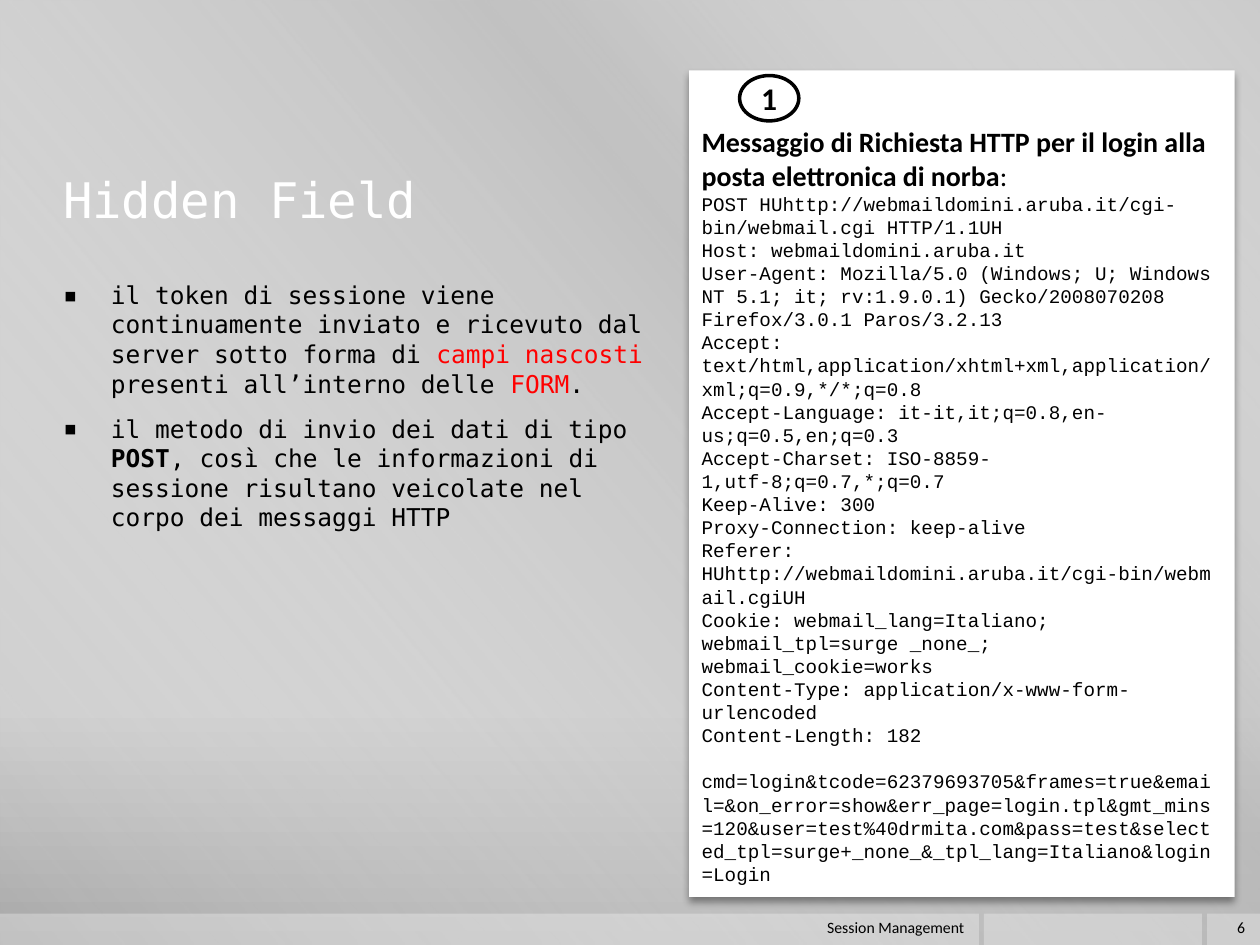
import pptx
import pptx.util
import pptx.oxml
import pptx.oxml.ns
import pptx.dml.color
import pptx.enum.shapes
import pptx.enum.text

Inches, Pt = pptx.util.Inches, pptx.util.Pt
qn = pptx.oxml.ns.qn
SHAPES = pptx.enum.shapes.MSO_SHAPE
ALIGN = pptx.enum.text.PP_ALIGN
ANCHOR = pptx.enum.text.MSO_ANCHOR

COLORS = {"white": "FFFFFF", "black": "000000", "red": "FF0000", "gray": "BFBFBF",
          "light": "CBCBCB", "middle": "C8C8C8", "dark": "A7A7A7"}
MONO, CODE, SANS = "DejaVu Sans Mono", "Courier New", "Calibri"

BULLETS = [
    [("il token di sessione viene continuamente inviato e ricevuto dal server sotto forma di ", {}),
     ("campi nascosti ", {"color": "red"}),
     ("presenti all’interno delle ", {}),
     ("FORM", {"color": "red"}),
     (".", {})],
    [("il metodo di invio dei dati di tipo ", {}),
     ("POST", {"bold": True}),
     (", così che le informazioni di sessione risultano veicolate nel corpo dei messaggi HTTP", {})],
]
REQUEST_HEADERS = [
    "POST HUhttp://webmaildomini.aruba.it/cgi-bin/webmail.cgi HTTP/1.1UH",
    "Host: webmaildomini.aruba.it",
    "User-Agent: Mozilla/5.0 (Windows; U; Windows NT 5.1; it; rv:1.9.0.1) "
    "Gecko/2008070208 Firefox/3.0.1 Paros/3.2.13",
    "Accept: text/html,application/xhtml+xml,application/xml;q=0.9,*/*;q=0.8",
    "Accept-Language: it-it,it;q=0.8,en-us;q=0.5,en;q=0.3",
    "Accept-Charset: ISO-8859-1,utf-8;q=0.7,*;q=0.7",
    "Keep-Alive: 300",
    "Proxy-Connection: keep-alive",
    "Referer: HUhttp://webmaildomini.aruba.it/cgi-bin/webmail.cgiUH",
    "Cookie: webmail_lang=Italiano; webmail_tpl=surge _none_; webmail_cookie=works",
    "Content-Type: application/x-www-form-urlencoded",
    "Content-Length: 182",
]
REQUEST_BODY = ("cmd=login&tcode=62379693705&frames=true&email=&on_error=show&err_page=login.tpl"
                "&gmt_mins=120&user=test%40drmita.com&pass=test&selected_tpl=surge+_none_"
                "&_tpl_lang=Italiano&login=Login")


def rgb(color):
    return pptx.dml.color.RGBColor.from_string(COLORS[color])


def add_element(parent, tag, **attributes):
    element = parent.makeelement(qn(tag), {key: str(value) for key, value in attributes.items()})
    parent.append(element)
    return element


def add_color(parent, color, alpha=100):
    element = add_element(parent, "a:srgbClr", val=COLORS[color])
    if alpha < 100:
        add_element(element, "a:alpha", val=alpha * 1000)


def solid_to_gradient(solid, stops, angle):
    """Swap a solid fill element for a linear gradient of (position, color, alpha) stops."""
    gradient = solid.makeelement(qn("a:gradFill"), {"rotWithShape": "1"})
    stop_list = add_element(gradient, "a:gsLst")
    for position, color, alpha in stops:
        add_color(add_element(stop_list, "a:gs", pos=position * 1000), color, alpha)
    add_element(gradient, "a:lin", ang=angle * 60000, scaled=0)
    solid.getparent().replace(solid, gradient)


class SlideBuilder:
    def __init__(self, presentation):
        self.slide = presentation.slides.add_slide(presentation.slide_layouts[1])

    def background(self, stops, angle):
        self.slide.background.fill.solid()
        solid_to_gradient(self.slide.element.find(".//" + qn("a:solidFill")), stops, angle)

    def shape(self, kind, box, alpha=100, line=None):
        shape = self.slide.shapes.add_shape(kind, *map(Inches, box))
        shape.shadow.inherit = False
        shape.fill.solid()
        shape.fill.fore_color.rgb = rgb("white")
        if alpha < 100:
            color = shape.element.spPr.find(qn("a:solidFill"))[0]
            add_element(color, "a:alpha", val=alpha * 1000)
        if line:
            shape.line.color.rgb = rgb("black")
            shape.line.width = Pt(line)
        else:
            shape.line.fill.background()
        return shape

    def gradient_shape(self, box, stops, angle):
        shape = self.shape(SHAPES.RECTANGLE, box)
        solid_to_gradient(shape.element.spPr.find(qn("a:solidFill")), stops, angle)

    def shadow(self, shape, alpha, blur, distance, angle):
        effects = shape.element.spPr.find(qn("a:effectLst"))
        shadow = add_element(effects, "a:outerShdw", blurRad=Pt(blur), dist=Pt(distance),
                             dir=angle * 60000, rotWithShape=0)
        add_color(shadow, "black", alpha)

    def frame(self, shape, anchor=ANCHOR.TOP, side=0.1, top=0.05):
        frame = shape.text_frame
        frame.word_wrap = True
        frame.auto_size = pptx.enum.text.MSO_AUTO_SIZE.NONE
        frame.vertical_anchor = anchor
        frame.margin_left = frame.margin_right = Inches(side)
        frame.margin_top, frame.margin_bottom = Inches(top), Inches(0.05)
        return frame

    def paragraph(self, frame, runs, size, font, first=False, align=ALIGN.LEFT,
                  before=0, after=0, spacing=None):
        paragraph = frame.paragraphs[0] if first else frame.add_paragraph()
        paragraph.alignment = align
        paragraph.space_before, paragraph.space_after = Pt(before), Pt(after)
        if spacing:
            paragraph.line_spacing = Pt(spacing)
        for text, style in runs:
            run = paragraph.add_run()
            run.text = text
            run.font.size, run.font.name = Pt(size), font
            run.font.bold = style.get("bold", False)
            run.font.color.rgb = rgb(style.get("color", "black"))
        return paragraph

    def placeholder(self, index, box, anchor=ANCHOR.TOP):
        placeholder = self.slide.placeholders[index]
        placeholder.left, placeholder.top, placeholder.width, placeholder.height = map(Inches, box)
        return self.frame(placeholder, anchor, side=0)

    def title(self, text, box):
        frame = self.placeholder(0, box, ANCHOR.MIDDLE)
        self.paragraph(frame, [(text, {"color": "white"})], 28, MONO, first=True)

    def bullets(self, items, box):
        frame = self.placeholder(1, box)
        for number, runs in enumerate(items):
            paragraph = self.paragraph(frame, runs, 14, MONO, first=number == 0,
                                       before=2.8 if number else 0, after=6, spacing=16.9)
            properties = paragraph._p.get_or_add_pPr()
            properties.set("marL", str(Inches(0.38)))
            properties.set("indent", str(-Inches(0.38)))
            add_element(properties, "a:buFont", typeface=MONO)
            add_element(properties, "a:buChar", char="▪")

    def request_panel(self, box):
        panel = self.shape(SHAPES.RECTANGLE, box)
        self.shadow(panel, alpha=40, blur=4, distance=3, angle=90)
        frame = self.frame(panel, top=0.43)
        heading = "Messaggio di Richiesta HTTP per il login alla posta elettronica di norba"
        self.paragraph(frame, [(heading, {"bold": True}), (":", {})], 16, SANS, first=True)
        for text in REQUEST_HEADERS:
            self.paragraph(frame, [(text, {})], 11, CODE, spacing=13.2)
        self.paragraph(frame, [(REQUEST_BODY, {})], 11, CODE, before=13.2, spacing=13.2)

    def badge(self, text, box):
        frame = self.frame(self.shape(SHAPES.OVAL, box, line=2), ANCHOR.MIDDLE, side=0)
        self.paragraph(frame, [(text, {"bold": True})], 18, SANS, first=True, align=ALIGN.CENTER)

    def footer(self, text, box):
        textbox = self.slide.shapes.add_textbox(*map(Inches, box))
        frame = self.frame(textbox, ANCHOR.MIDDLE)
        self.paragraph(frame, [(text, {})], 9, SANS, first=True, align=ALIGN.RIGHT)


def main():
    presentation = pptx.Presentation()
    presentation.slide_width, presentation.slide_height = Inches(10), Inches(7.5)
    builder = SlideBuilder(presentation)
    builder.background([(0, "light", 100), (76, "middle", 100), (100, "dark", 100)], 90)
    builder.gradient_shape((0, 0, 10, 7.5), [(0, "white", 0), (34, "gray", 61),
                                             (38, "gray", 76), (100, "white", 0)], 140)
    for left, width in ((9.58, 0.42), (7.81, 1.73), (0, 7.77)):
        builder.shape(SHAPES.RECTANGLE, (left, 7.25, width, 0.25), alpha=30)
    # Placeholders come first in the tree, so move them above the backdrop.
    for placeholder in list(builder.slide.placeholders):
        builder.slide.shapes.element.append(placeholder.element)
    builder.title("Hidden Field", (0.5, 1.08, 9, 1))
    builder.bullets(BULLETS, (0.5, 2.17, 4.66, 4.53))
    builder.request_panel((5.47, 0.56, 4.33, 6.56))
    builder.badge("1", (5.87, 0.6, 0.47, 0.36))
    builder.footer("Session Management", (0.5, 7.23, 7.25, 0.25))
    builder.footer("6", (9.56, 7.23, 0.42, 0.25))
    presentation.save("out.pptx")


if __name__ == "__main__":
    main()
